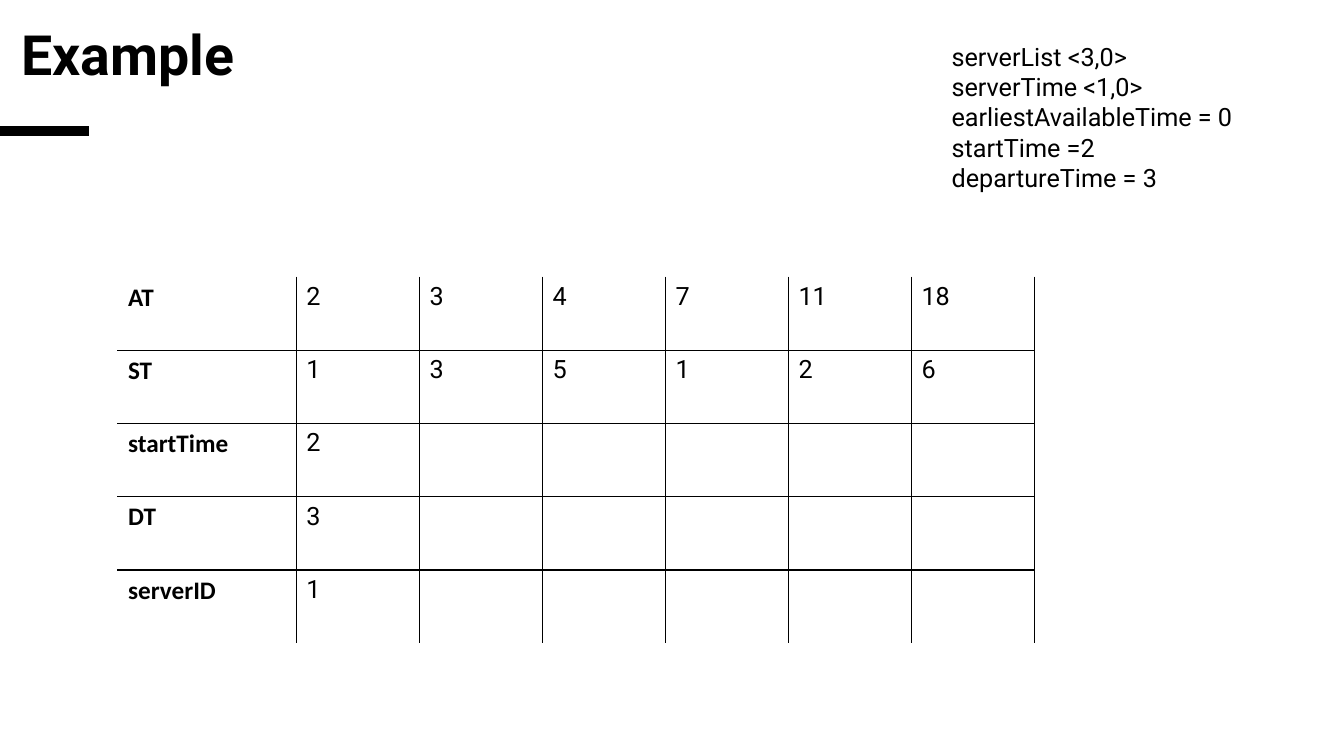
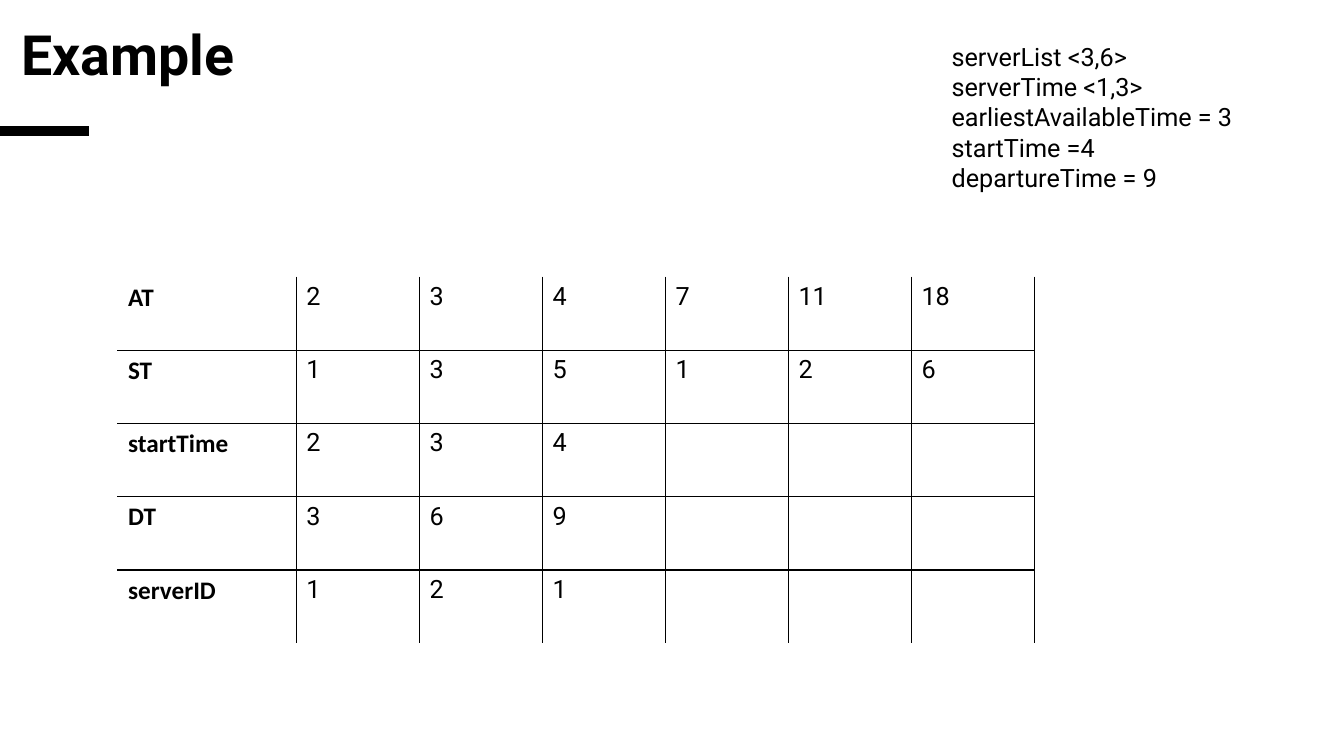
import dataclasses

import lxml.etree
import pptx
import pptx.dml.color
import pptx.enum.shapes
import pptx.enum.text
import pptx.oxml.ns
import pptx.util


@dataclasses.dataclass(frozen=True)
class Theme:
    ink: str = "000000"
    paper: str = "FFFFFF"
    font: str = "Roboto"
    label_font: str = "Calibri"
    title_size: float = 39.6
    body_size: float = 18
    accent_width: float = 6.75
    border_width: float = 1


@dataclasses.dataclass(frozen=True)
class Box:
    """A region in percent of the slide's width and height."""
    left: float
    top: float
    width: float
    height: float

    def lengths(self):
        return (across(self.left), down(self.top),
                across(self.width), down(self.height))


THEME = Theme()
SLIDE_WIDTH = pptx.util.Inches(13.33)
SLIDE_HEIGHT = pptx.util.Inches(7.5)
TITLE_BOX = Box(0.83, 3.07, 81.4, 9.47)
ACCENT_BOX = Box(0, 17.33, 6.6, 0)
STATE_BOX = Box(70.07, 4.8, 24.3, 21.6)
TABLE_BOX = Box(8.78, 36.67, 68.2, 48.4)
LABEL_COLUMN = 1.45  # width of the label column, in value columns

STATE_NAMES = ["serverList ", "serverTime ", "earliestAvailableTime = ",
               "startTime =", "departureTime = "]
ARRIVALS = ["AT", 2, 3, 4, 7, 11, 18]
SERVICES = ["ST", 1, 3, 5, 1, 2, 6]
STEPS = [
    {"state": ["<3,0>", "<1,0>", 0, 2, 3],
     "results": [["startTime", 2], ["DT", 3], ["serverID", 1]]},
    {"state": ["<3,6>", "<1,3>", 3, 4, 9],
     "results": [["startTime", 2, 3, 4], ["DT", 3, 6, 9],
                 ["serverID", 1, 2, 1]]},
]


def across(percent):
    return round(SLIDE_WIDTH * percent / 100)


def down(percent):
    return round(SLIDE_HEIGHT * percent / 100)


def color(value):
    return pptx.dml.color.RGBColor.from_string(value)


def write_text(text_frame, text, font=THEME.font, size=THEME.body_size,
               bold=False, spacing=None):
    """Write one paragraph per line of text in a single format."""
    text_frame.word_wrap = True
    for index, line in enumerate(text.split("\n")):
        paragraph = (text_frame.add_paragraph() if index
                     else text_frame.paragraphs[0])
        paragraph.alignment = pptx.enum.text.PP_ALIGN.LEFT
        paragraph.line_spacing = spacing
        run = paragraph.add_run()
        run.text = line
        run.font.name = font
        run.font.size = pptx.util.Pt(size)
        run.font.bold = bold
        run.font.color.rgb = color(THEME.ink)


def place(shape, box):
    shape.left, shape.top, shape.width, shape.height = box.lengths()


def add_accent(slide, box):
    left, top, width, height = box.lengths()
    accent = slide.shapes.add_connector(
        pptx.enum.shapes.MSO_CONNECTOR.STRAIGHT,
        left, top, left + width, top + height)
    accent.line.color.rgb = color(THEME.ink)
    accent.line.width = pptx.util.Pt(THEME.accent_width)
    lxml.etree.SubElement(accent.element.spPr,
                          pptx.oxml.ns.qn("a:effectLst"))


def add_title(slide, text, box):
    title = slide.shapes.title
    place(title, box)
    title.text_frame.auto_size = pptx.enum.text.MSO_AUTO_SIZE.NONE
    title.text_frame.vertical_anchor = pptx.enum.text.MSO_ANCHOR.MIDDLE
    write_text(title.text_frame, text, size=THEME.title_size, bold=True,
               spacing=0.85)


def add_state(slide, values, box):
    text_box = slide.shapes.add_textbox(*box.lengths())
    text_box.text_frame.auto_size = (
        pptx.enum.text.MSO_AUTO_SIZE.SHAPE_TO_FIT_TEXT)
    lines = [f"{name}{value}" for name, value in zip(STATE_NAMES, values)]
    write_text(text_box.text_frame, "\n".join(lines))


def set_borders(cell, **side_colors):
    """Draw cell sides; the schema wants the order L, R, T, B."""
    properties = cell._tc.get_or_add_tcPr()
    for side in "LRTB":
        line = lxml.etree.SubElement(
            properties, pptx.oxml.ns.qn(f"a:ln{side}"),
            w=str(pptx.util.Pt(THEME.border_width)))
        fill = lxml.etree.SubElement(line, pptx.oxml.ns.qn("a:solidFill"))
        lxml.etree.SubElement(fill, pptx.oxml.ns.qn("a:srgbClr"),
                              val=side_colors[side])


def add_schedule(slide, rows, box):
    column_count = len(rows[0])
    left, top, width, height = box.lengths()
    table = slide.shapes.add_table(len(rows), column_count,
                                   left, top, width, height).table
    table.first_row = table.horz_banding = False

    # Column and row sizes
    unit = width / (LABEL_COLUMN + column_count - 1)
    for index, column in enumerate(table.columns):
        column.width = round(unit * (1 if index else LABEL_COLUMN))
    for row in table.rows:
        row.height = height // len(rows)

    # Cells: the outer left, top and bottom sides fade into the paper
    for row_index, values in enumerate(rows):
        for column_index in range(column_count):
            cell = table.cell(row_index, column_index)
            is_label = column_index == 0
            set_borders(
                cell,
                L=THEME.paper if is_label else THEME.ink,
                R=THEME.ink,
                T=THEME.paper if row_index == 0 else THEME.ink,
                B=THEME.paper if row_index == len(rows) - 1 else THEME.ink)
            cell.fill.background()
            if column_index < len(values):
                write_text(cell.text_frame, str(values[column_index]),
                           font=THEME.label_font if is_label else THEME.font,
                           bold=is_label)


def add_example_slide(presentation, step):
    slide = presentation.slides.add_slide(
        presentation.slide_layouts.get_by_name("Title Only"))
    add_accent(slide, ACCENT_BOX)
    add_title(slide, "Example", TITLE_BOX)
    add_state(slide, step["state"], STATE_BOX)
    add_schedule(slide, [ARRIVALS, SERVICES, *step["results"]], TABLE_BOX)


def main():
    presentation = pptx.Presentation()
    presentation.slide_width = SLIDE_WIDTH
    presentation.slide_height = SLIDE_HEIGHT
    background = presentation.slide_master.background.fill
    background.solid()
    background.fore_color.rgb = color(THEME.paper)
    for step in STEPS:
        add_example_slide(presentation, step)
    presentation.save("out.pptx")


if __name__ == "__main__":
    main()
